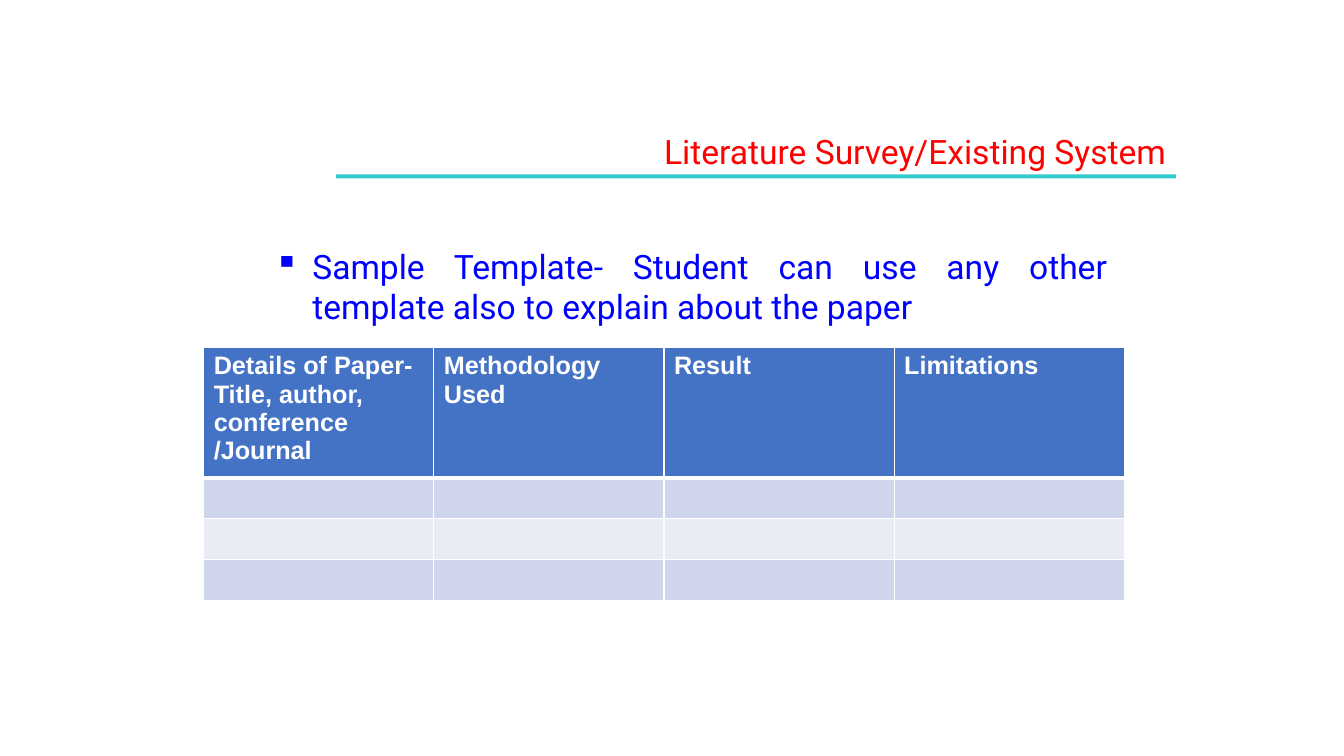
from pptx import Presentation
from pptx.dml.color import RGBColor
from pptx.enum.shapes import MSO_SHAPE
from pptx.enum.text import PP_ALIGN
from pptx.oxml.ns import qn
from pptx.util import Pt
from lxml import etree

RECT = MSO_SHAPE.RECTANGLE
RIGHT, JUSTIFY = PP_ALIGN.RIGHT, PP_ALIGN.JUSTIFY
COLORS = {
    "title": "FF0000", "rule": "33CCCC", "body": "0000FF", "white": "FFFFFF",
    "head": "4472C4", "odd": "CFD5EA", "even": "E9EBF5",
}
HEADS = [
    "Details of Paper- Title, author, conference /Journal",
    "Methodology Used", "Result", "Limitations",
]


def rgb(name):
    return RGBColor.from_string(COLORS[name])


def style(para, face, size, color, bold=False):
    font = para.font
    font.name, font.size, font.bold = face, Pt(size), bold
    font.color.rgb = rgb(color)


def add_text(slide, box, text, align, color):
    frame = slide.shapes.add_textbox(*map(Pt, box)).text_frame
    frame.word_wrap = True
    para = frame.paragraphs[0]
    para.text = text
    para.alignment = align
    return para


def add_title(slide, box):
    left, top, width, height = box
    rule = slide.shapes.add_shape(
        RECT, Pt(left), Pt(top + height - 1.5), Pt(width), Pt(3))
    rule.shadow.inherit = False
    rule.fill.solid()
    rule.fill.fore_color.rgb = rgb("rule")
    rule.line.fill.background()
    para = add_text(slide, (left + 90, top, width - 90, height),
                    "Literature Survey/Existing System", RIGHT, "title")
    style(para, "Roboto", 24, "title")


def add_body(slide, box):
    para = add_text(
        slide, box,
        "Sample Template- Student can use any other template also "
        "to explain about the paper", JUSTIFY, "body")
    props = para._p.get_or_add_pPr()
    props.set("marL", str(Pt(54)))
    props.set("indent", str(Pt(-27)))
    etree.SubElement(props, qn("a:buChar")).set("char", "▪")
    style(para, "Roboto", 24, "body")


def add_edges(cell, base):
    props = cell._tc.get_or_add_tcPr()
    sides = {"lnL": 1, "lnR": 1, "lnT": 1, "lnB": base}
    for spot, (side, size) in enumerate(sides.items()):
        edge = etree.Element(qn(f"a:{side}"), w=str(Pt(size)))
        fill = etree.SubElement(edge, qn("a:solidFill"))
        etree.SubElement(fill, qn("a:srgbClr")).set("val", COLORS["white"])
        props.insert(spot, edge)


def add_grid(slide, box, count=4):
    left, top, width, height = box
    table = slide.shapes.add_table(
        count, len(HEADS), Pt(left), Pt(top), Pt(width), Pt(height)).table
    low = 29.2
    for row in table.rows:
        row.height = Pt(low)
    table.rows[0].height = Pt(height - low * (count - 1))
    for col in table.columns:
        col.width = Pt(width / len(HEADS))
    for r in range(count):
        shade = "head" if r == 0 else "odd" if r % 2 else "even"
        for c, head in enumerate(HEADS):
            cell = table.cell(r, c)
            cell.fill.solid()
            cell.fill.fore_color.rgb = rgb(shade)
            add_edges(cell, 3 if r == 0 else 1)
            if r == 0:
                para = cell.text_frame.paragraphs[0]
                para.text = head
                style(para, "Arial", 18, "white", True)


def main():
    deck = Presentation()
    deck.slide_width, deck.slide_height = Pt(960), Pt(540)
    slide = deck.slides.add_slide(deck.slide_layouts[6])
    add_title(slide, (240, 90, 600, 36))
    add_body(slide, (162, 172, 636, 332))
    add_grid(slide, (145.5, 247.8, 657.6, 180.2))
    deck.save("out.pptx")


if __name__ == "__main__":
    main()
